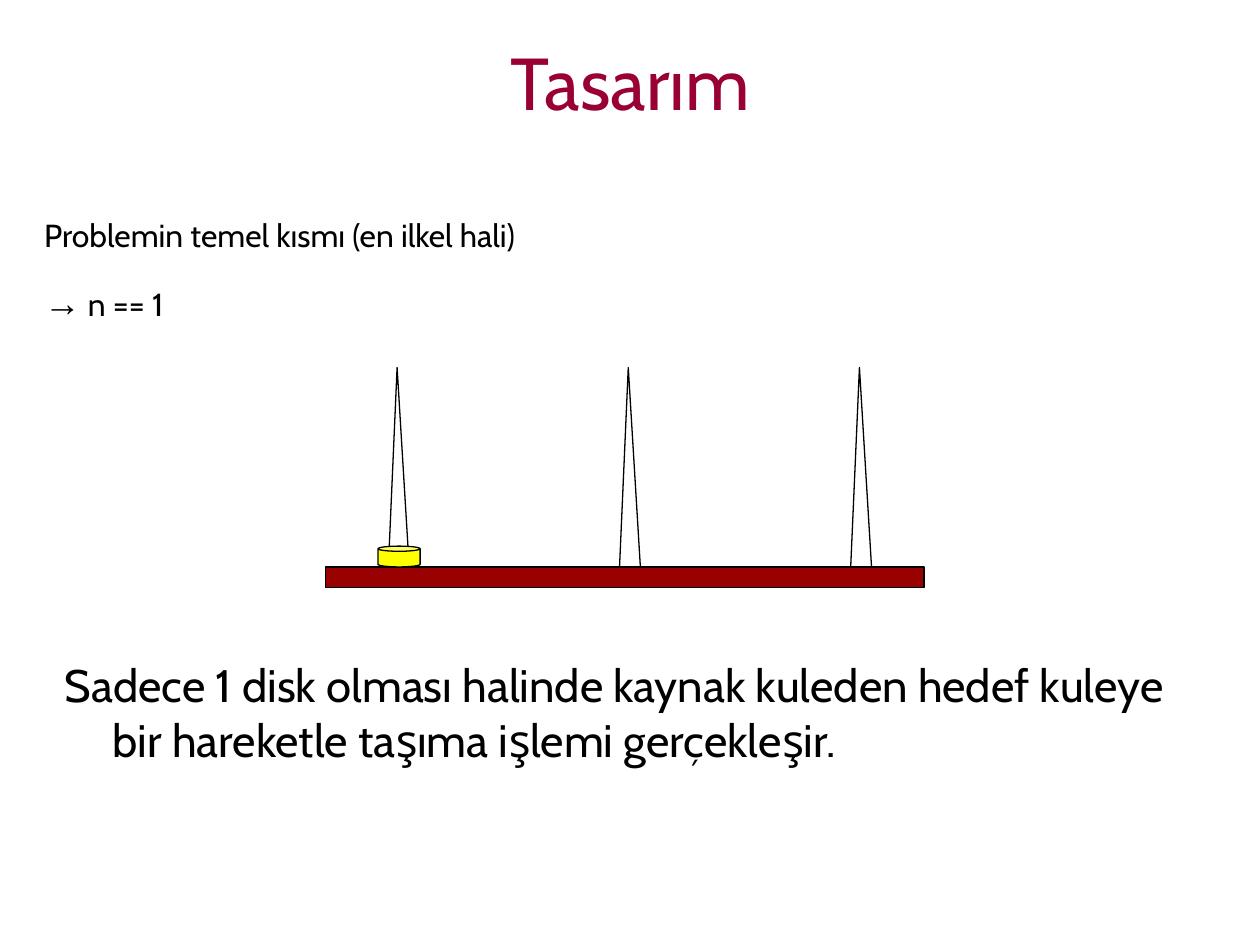
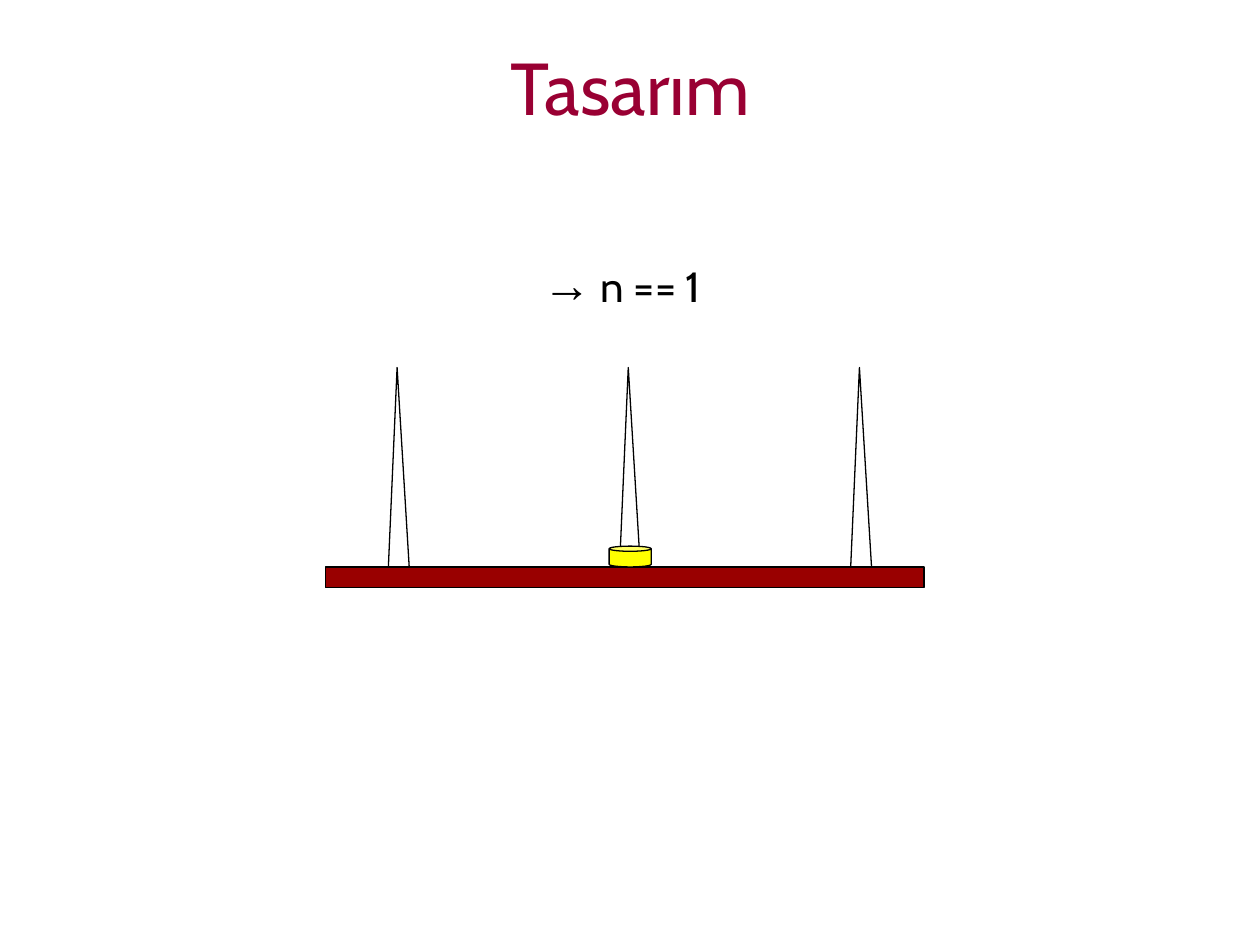
"""Build two slides showing the one-disk base case of the Towers of Hanoi."""
from pptx import Presentation
from pptx.dml.color import RGBColor
from pptx.enum import shapes, text
from pptx.util import Cm, Pt

TITLE_RED = RGBColor(0x99, 0x00, 0x33)
BASE_RED = RGBColor(0x99, 0x00, 0x00)
DISK_YELLOW = RGBColor(0xFF, 0xFF, 0x00)
WHITE = RGBColor(0xFF, 0xFF, 0xFF)
BLACK = RGBColor(0x00, 0x00, 0x00)

PEG_LEFT, PEG_STEP, PEG_COUNT = 7.83, 4.66, 3
BASE_TOP, DISK_HEIGHT = 11.43, 0.42
HANGING = Cm(0.96)

TITLE_FORMAT = {"alignment": text.PP_ALIGN.CENTER, "line_spacing": 0.85}
BODY_FORMAT = {"space_before": Pt(19.5)}


def add_text(page, place, paragraphs, color, anchor, hanging):
    box = page.shapes.add_textbox(*map(Cm, place))
    frame = box.text_frame
    frame.word_wrap = True
    frame.vertical_anchor = anchor
    for number, (para_format, spans) in enumerate(paragraphs):
        para = frame.add_paragraph() if number else frame.paragraphs[0]
        for name, value in para_format.items():
            setattr(para, name, value)
        if hanging:
            properties = para._p.get_or_add_pPr()
            properties.set("marL", str(HANGING))
            properties.set("indent", str(-HANGING))
        for words, font_name, size in spans:
            span = para.add_run()
            span.text = words
            span.font.color.rgb = color
            for name, value in {"name": font_name, "size": Pt(size)}.items():
                setattr(span.font, name, value)


def add_part(group, kind, place, color, adjustment=None):
    part = group.shapes.add_shape(kind, *map(Cm, place))
    part.shadow.inherit = False
    part.fill.solid()
    part.fill.fore_color.rgb = color
    part.line.color.rgb = BLACK
    part.line.width = Pt(0.75)
    if adjustment is not None:
        part.adjustments[0] = adjustment


pages = [
    {
        "title_height": 1.88,
        "disk_peg": 0,
        "texts": [
            ((0.64, 4.23, 24.34, 2.54), [
                (BODY_FORMAT, [("Problemin temel kısmı (en ilkel hali)", "Cabin", 18.2)]),
                (BODY_FORMAT | {"line_spacing": 0.8},
                 [("→", "Arial", 21), (" n == 1", "Cabin", 18.2)]),
            ]),
            ((1.06, 13.12, 23.71, 2.54), [
                (BODY_FORMAT, [("Sadece 1 disk olması halinde kaynak kuleden hedef kuleye "
                                "bir hareketle taşıma işlemi gerçekleşir.", "Cabin", 26)]),
            ]),
        ],
    },
    {
        "title_height": 2.08,
        "disk_peg": 1,
        "texts": [
            ((10.69, 5.13, 5.05, 1.5), [
                (BODY_FORMAT | {"line_spacing": 0.9},
                 [("→", "Arial", 27.8), (" n == 1", "Cabin", 24.1)]),
            ]),
        ],
    },
]

deck = Presentation()
deck.slide_width, deck.slide_height = Cm(25.4), Cm(19.05)

for content in pages:
    page = deck.slides.add_slide(deck.slide_layouts[6])
    add_text(page, (2.54, 0.84, 20.32, content["title_height"]),
             [(TITLE_FORMAT, [("Tasarım", "Cabin", 42)])],
             TITLE_RED, text.MSO_ANCHOR.MIDDLE, False)
    for place, paragraphs in content["texts"]:
        add_text(page, place, paragraphs, BLACK, text.MSO_ANCHOR.TOP, True)

    towers = page.shapes.add_group_shape()
    for peg in range(PEG_COUNT):
        add_part(towers, shapes.MSO_SHAPE.ISOSCELES_TRIANGLE,
                 (PEG_LEFT + peg * PEG_STEP, 7.41, 0.42, 4.02), WHITE, 0.42)
    add_part(towers, shapes.MSO_SHAPE.RECTANGLE, (6.56, BASE_TOP, 12.07, 0.42), BASE_RED)
    disk_left = PEG_LEFT - 0.21 + content["disk_peg"] * PEG_STEP
    add_part(towers, shapes.MSO_SHAPE.CAN,
             (disk_left, BASE_TOP - DISK_HEIGHT, 0.85, DISK_HEIGHT), DISK_YELLOW, 0.25)

deck.save("out.pptx")
